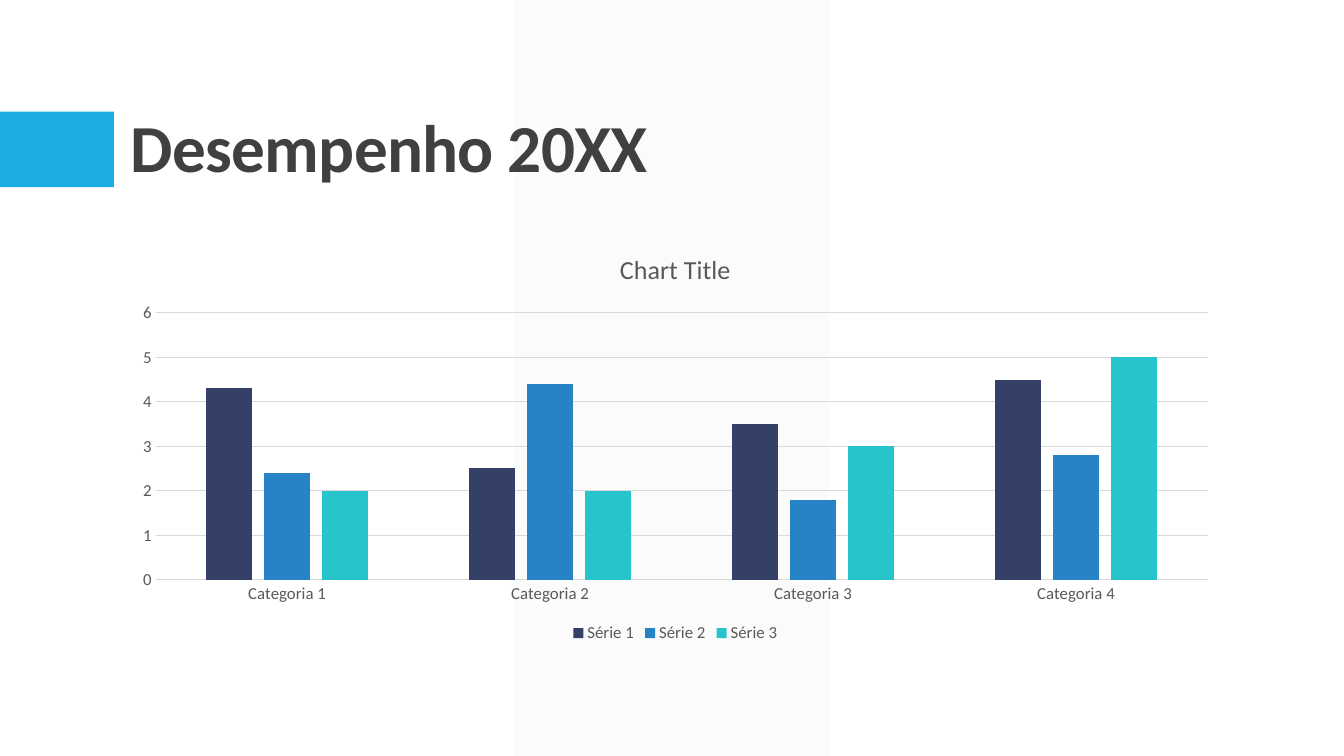
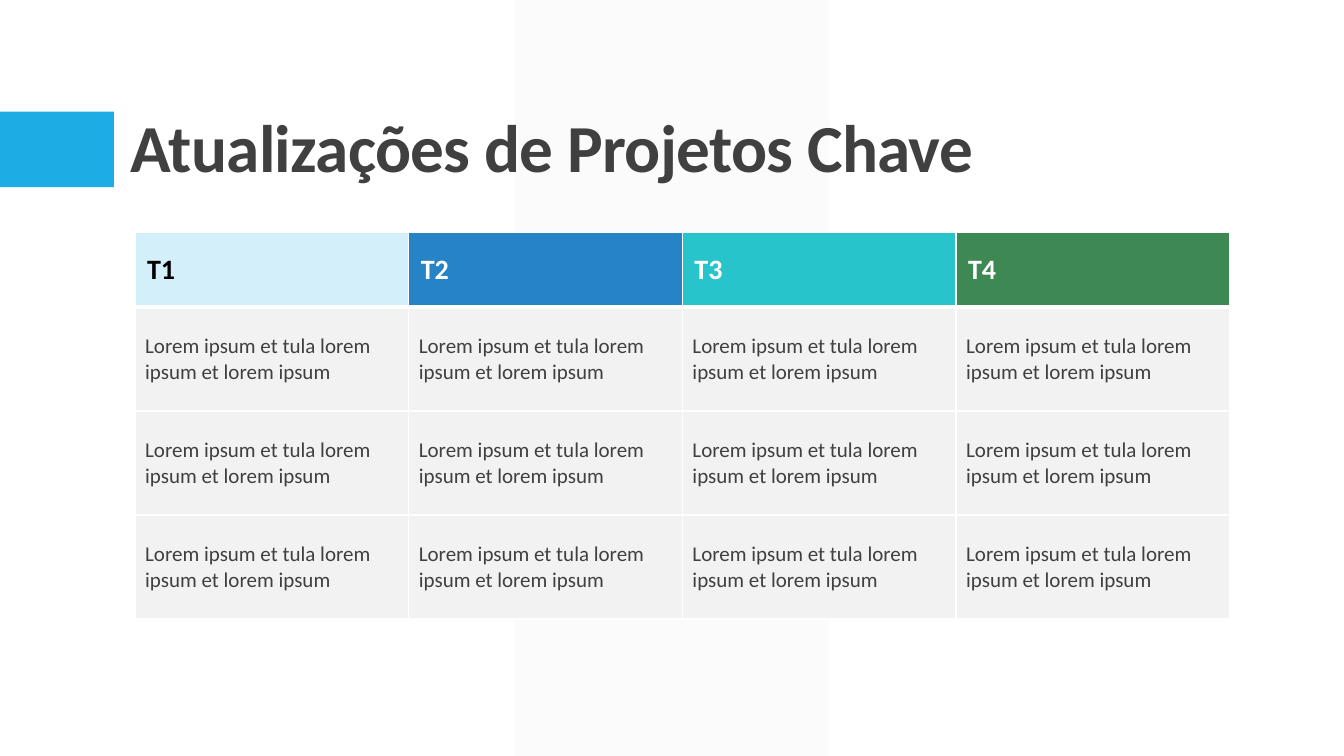
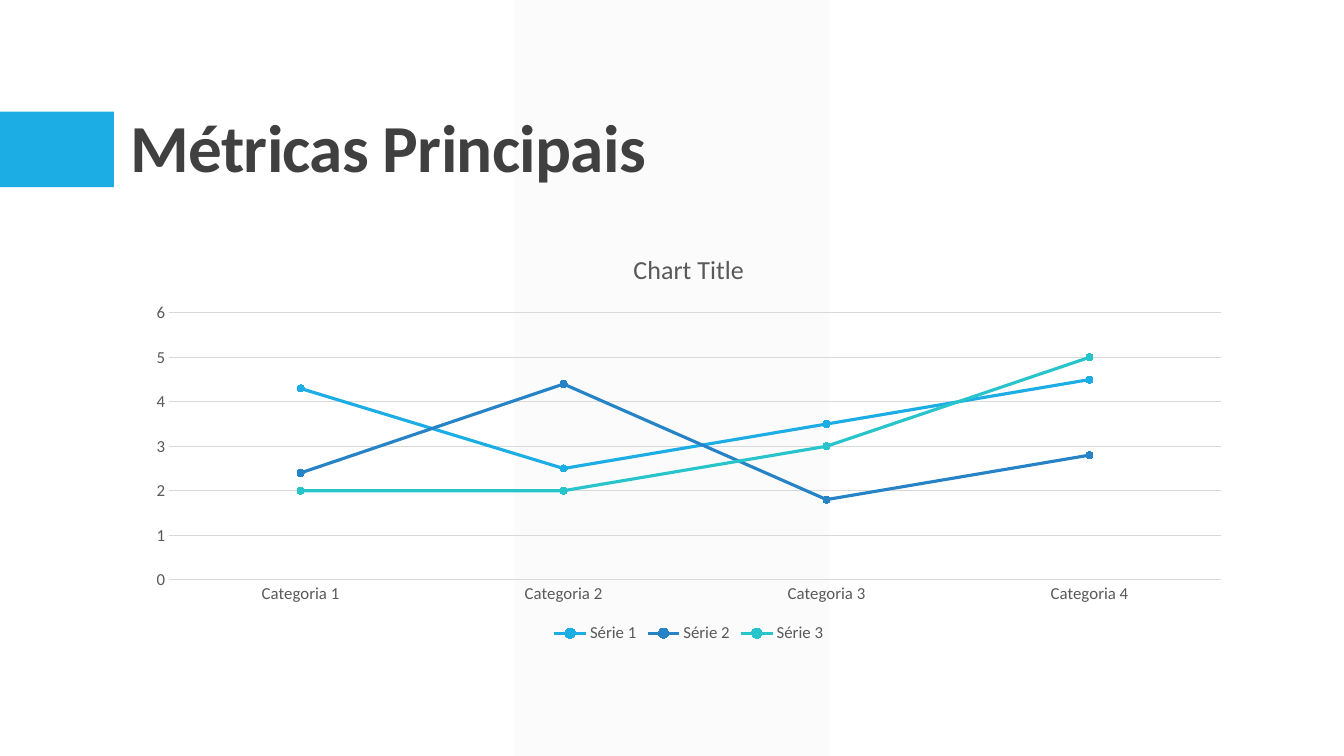
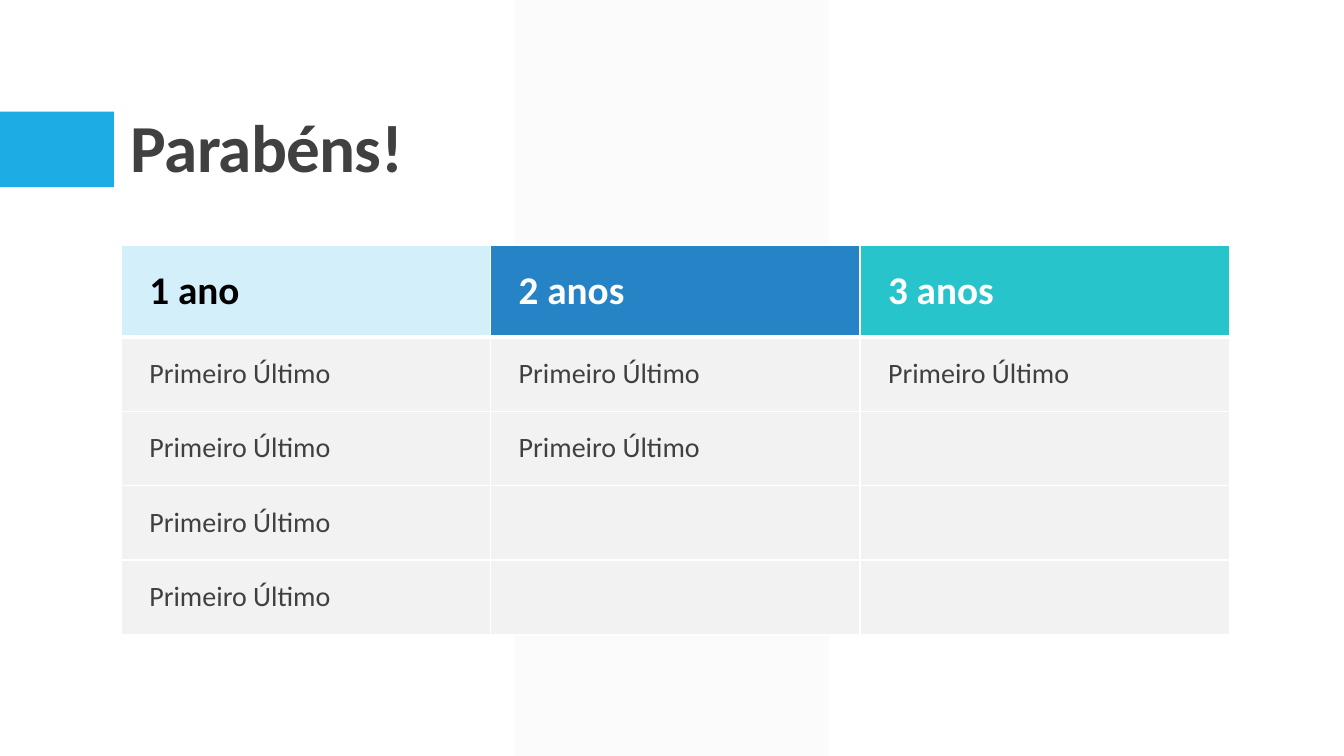
"""Build a four-slide performance review with charts and tables."""
from lxml.etree import SubElement
from pptx import Presentation
from pptx.chart.data import CategoryChartData
from pptx.dml.color import RGBColor
from pptx.enum.chart import XL_CHART_TYPE, XL_LEGEND_POSITION, XL_MARKER_STYLE, XL_TICK_MARK
from pptx.enum.shapes import MSO_SHAPE
from pptx.enum.text import MSO_ANCHOR
from pptx.oxml.ns import qn
from pptx.util import Pt

FONT = "Calibri"
WHITE, BLACK, PALE_GRAY, RULE_GRAY = "FFFFFF", "000000", "F2F2F2", "D9D9D9"
CHART_GRAY, DARK_GRAY = "595959", "404040"
SKY, PALE_SKY, NAVY, BLUE, TEAL, GREEN = "1CADE4", "D2EFFA", "344068", "2683C6", "28C4CC", "3E8853"

CATEGORIES = ["Categoria 1", "Categoria 2", "Categoria 3", "Categoria 4"]
SERIES = {
    "Série 1": [4.3, 2.5, 3.5, 4.5],
    "Série 2": [2.4, 4.4, 1.8, 2.8],
    "Série 3": [2, 2, 3, 5],
}
LOREM = "Lorem ipsum et tula lorem ipsum et lorem ipsum"
PERSON = "Primeiro Último"
HEADER_COLORS = [(PALE_SKY, BLACK), (BLUE, WHITE), (TEAL, WHITE), (GREEN, WHITE)]

PERFORMANCE = {
    "kind": XL_CHART_TYPE.COLUMN_CLUSTERED,
    "box": (86.4, 166.3, 792, 296),
    "colors": [NAVY, BLUE, TEAL],
}
METRICS = {
    "kind": XL_CHART_TYPE.LINE_MARKERS,
    "box": (96, 166.3, 792, 296),
    "colors": [SKY, BLUE, TEAL],
}
PROJECTS = {
    "rows": [["T1", "T2", "T3", "T4"]] + [[LOREM] * 4] * 3,
    "box": (96.5, 166.3, 782),
    "heights": (53, 74.3),
    "sizes": (20, 15),
    "insets": ((8.6, 4.3), (7.2, 3.6)),
}
ANNIVERSARIES = {
    "rows": [
        ["1 ano", "2 anos", "3 anos"],
        [PERSON, PERSON, PERSON],
        [PERSON, PERSON, ""],
        [PERSON, "", ""],
        [PERSON, "", ""],
    ],
    "box": (86.7, 175.3, 791.5),
    "heights": (65.2, 53.2),
    "sizes": (28, 20),
    "insets": ((20, 5.8), (20, 5.8)),
}


def rgb(color):
    """Turn a hex string into a colour."""
    return RGBColor.from_string(color)


def paint(fill, color):
    """Make a fill solid."""
    fill.solid()
    fill.fore_color.rgb = rgb(color)


def style_font(font, size, color, bold=False):
    """Apply the deck font with a size and colour."""
    font.name, font.size, font.bold = FONT, Pt(size), bold
    font.color.rgb = rgb(color)


def style_line(line, color, width):
    """Draw a line in one colour and width."""
    paint(line.fill, color)
    line.width = Pt(width)


def add_run(frame, text, size, color, bold=False):
    """Add one styled run to the first paragraph."""
    run = frame.paragraphs[0].add_run()
    run.text = text
    style_font(run.font, size, color, bold)
    return run


def add_band(slide, kind, box, color):
    """Add a plain filled shape without outline or shadow."""
    band = slide.shapes.add_shape(kind, *map(Pt, box))
    band.shadow.inherit = False
    band.line.fill.background()
    paint(band.fill, color)
    return band


def add_framed_slide(deck, title):
    """Add a slide with the shared bands and title."""
    slide = deck.slides.add_slide(deck.slide_layouts[6])
    column = add_band(slide, MSO_SHAPE.PARALLELOGRAM, (367.4, 0, 224.6, 540), PALE_GRAY)
    column.adjustments[0] = 0
    tint = next(column.fill._xPr.iter(qn("a:srgbClr")))
    SubElement(tint, qn("a:alpha"), val="30000")
    add_band(slide, MSO_SHAPE.RECTANGLE, (0, 79.7, 81.4, 54), SKY)

    frame = slide.shapes.add_textbox(Pt(86.4), Pt(22.3), Pt(792), Pt(114.5)).text_frame
    frame.word_wrap = True
    frame.vertical_anchor = MSO_ANCHOR.BOTTOM
    frame.paragraphs[0].line_spacing = 0.9
    heading = add_run(frame, title, 48, DARK_GRAY, True)
    heading.font._element.set("spc", "-50")
    return slide


def add_series_chart(slide, kind, box, colors):
    """Add a column or line chart of the shared series."""
    data = CategoryChartData()
    data.categories = CATEGORIES
    for name, values in SERIES.items():
        data.add_series(name, values)
    chart = slide.shapes.add_chart(kind, *map(Pt, box), data).chart
    style_font(chart.font, 10, BLACK)
    chart.has_title = True
    add_run(chart.chart_title.text_frame, "Chart Title", 18.6, CHART_GRAY)
    chart.chart_title.include_in_layout = False
    chart.has_legend = True
    chart.legend.position = XL_LEGEND_POSITION.BOTTOM
    chart.legend.include_in_layout = False
    style_font(chart.legend.font, 12, CHART_GRAY)

    for axis in (chart.category_axis, chart.value_axis):
        axis.major_tick_mark = axis.minor_tick_mark = XL_TICK_MARK.NONE
        style_font(axis.tick_labels.font, 12, CHART_GRAY)
    style_line(chart.category_axis.format.line, RULE_GRAY, 0.75)
    chart.value_axis.format.line.fill.background()
    chart.value_axis.has_major_gridlines = True
    style_line(chart.value_axis.major_gridlines.format.line, RULE_GRAY, 0.75)

    plot = chart.plots[0]
    plot.vary_by_categories = False
    is_column = kind == XL_CHART_TYPE.COLUMN_CLUSTERED
    if is_column:
        plot.gap_width, plot.overlap = 219, -27
    for series, color in zip(plot.series, colors):
        if is_column:
            paint(series.format.fill, color)
            continue
        series.smooth = False
        style_line(series.format.line, color, 2.25)
        series.marker.style, series.marker.size = XL_MARKER_STYLE.CIRCLE, 5
        paint(series.marker.format.fill, color)
        style_line(series.marker.format.line, color, 0.75)


def add_borders(cell, widths):
    """Give a cell white borders, widths keyed by side."""
    properties = cell._tc.get_or_add_tcPr()
    for side, width in widths.items():
        edge = SubElement(properties, qn(f"a:ln{side}"), w=str(Pt(width)))
        SubElement(SubElement(edge, qn("a:solidFill")), qn("a:srgbClr"), val=WHITE)


def add_color_table(slide, rows, box, heights, sizes, insets):
    """Add a table with coloured headings over gray rows."""
    left, top, width = box
    count = len(rows[0])
    height = heights[0] + heights[1] * (len(rows) - 1)
    table = slide.shapes.add_table(len(rows), count, Pt(left), Pt(top), Pt(width), Pt(height)).table
    table.first_row = table.horz_banding = False
    for column in table.columns:
        column.width = Pt(width / count)
    for row_index, texts in enumerate(rows):
        is_header = row_index == 0
        part = 0 if is_header else 1
        table.rows[row_index].height = Pt(heights[part])
        side_inset, end_inset = map(Pt, insets[part])
        for column_index, text in enumerate(texts):
            cell = table.cell(row_index, column_index)
            fill, color = HEADER_COLORS[column_index] if is_header else (PALE_GRAY, DARK_GRAY)
            add_borders(cell, {"L": 1, "R": 1, "T": 3 if row_index == 1 else 1, "B": 3 if is_header else 1})
            paint(cell.fill, fill)
            cell.vertical_anchor = MSO_ANCHOR.MIDDLE
            cell.margin_left = cell.margin_right = side_inset
            cell.margin_top = cell.margin_bottom = end_inset
            if text:
                add_run(cell.text_frame, text, sizes[part], color, is_header)


SLIDES = [
    ("Desempenho 20XX", add_series_chart, PERFORMANCE),
    ("Atualizações de Projetos Chave", add_color_table, PROJECTS),
    ("Métricas Principais", add_series_chart, METRICS),
    ("Parabéns!", add_color_table, ANNIVERSARIES),
]


def main():
    """Build and save the deck."""
    deck = Presentation()
    deck.slide_width, deck.slide_height = Pt(960), Pt(540)
    for title, add_content, content in SLIDES:
        add_content(add_framed_slide(deck, title), **content)
    deck.save("out.pptx")


if __name__ == "__main__":
    main()
